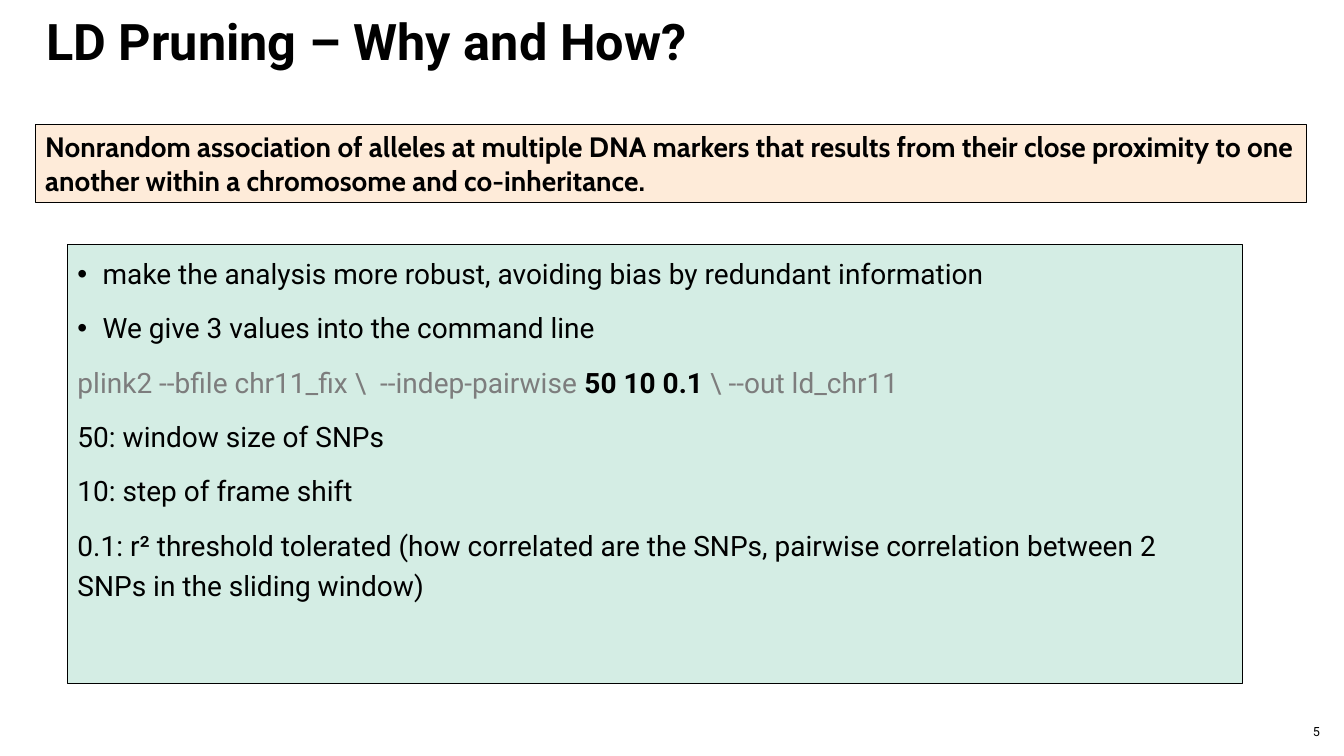
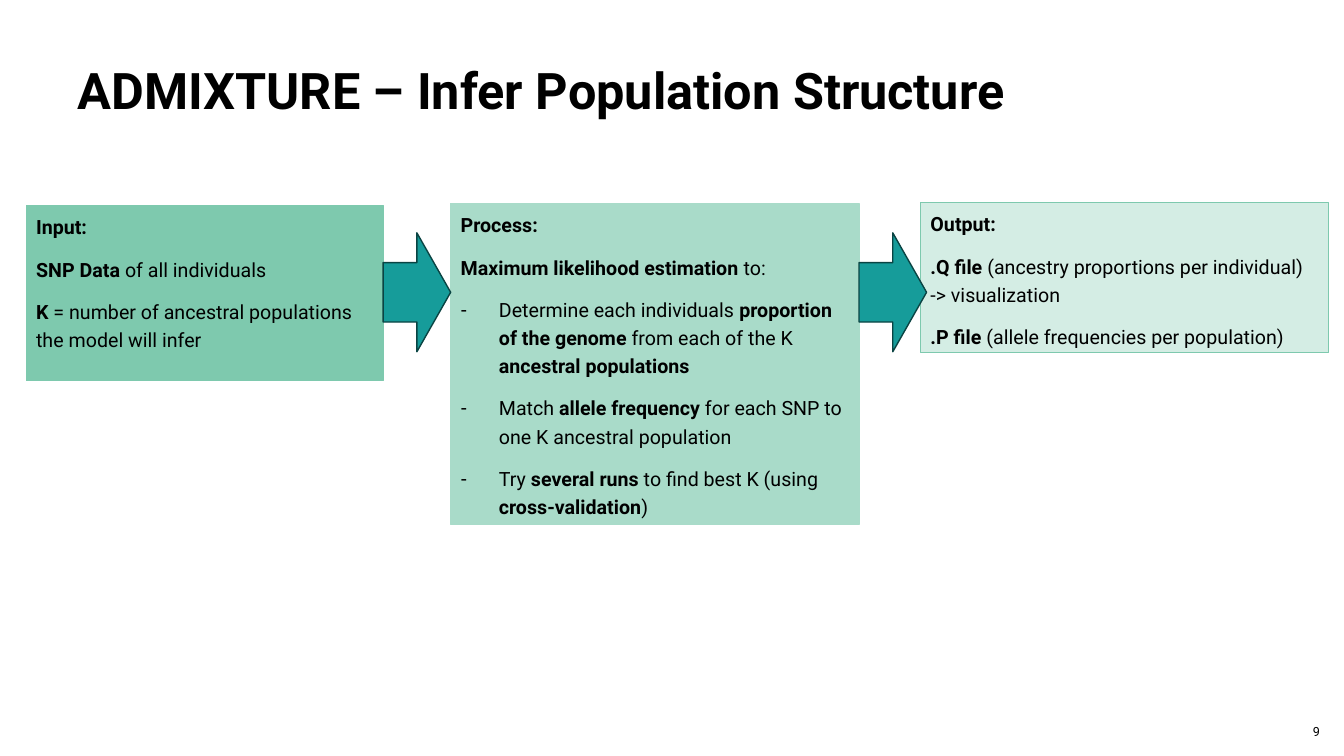
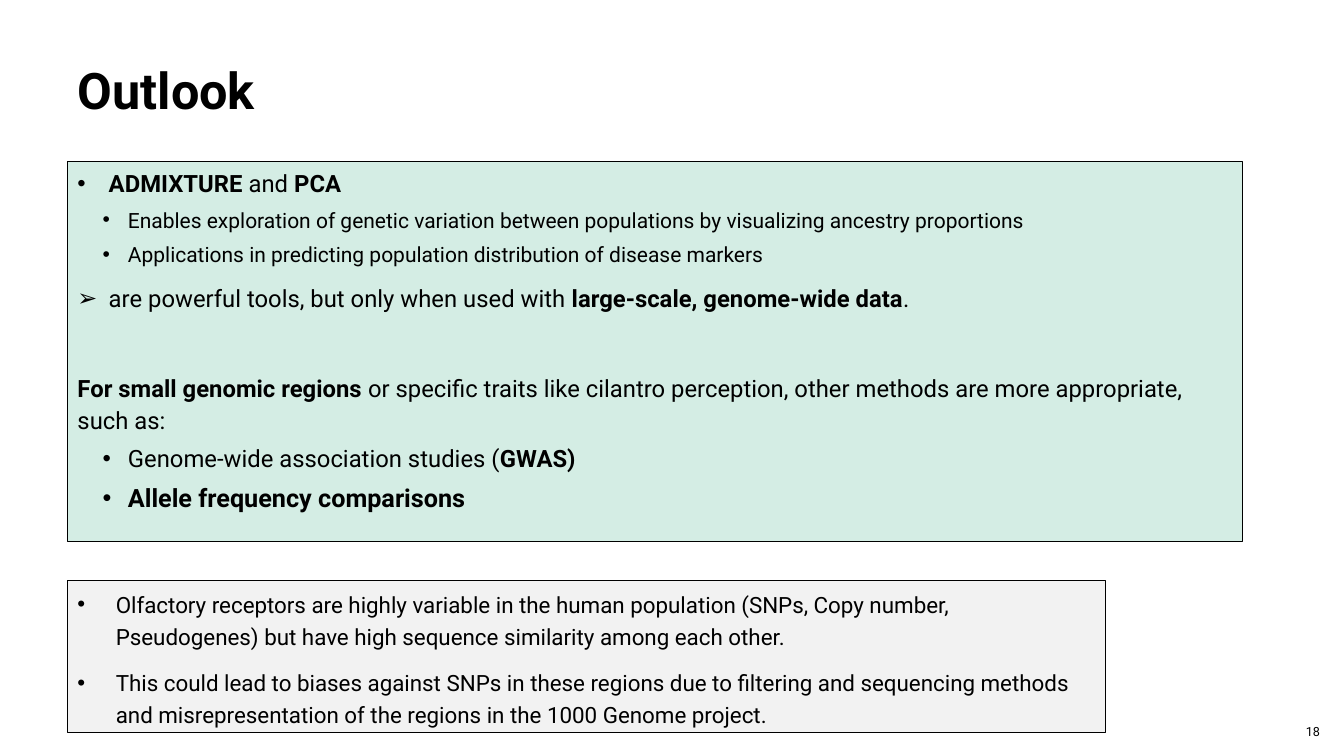
from lxml import etree
from pptx import Presentation
from pptx.dml.color import RGBColor
from pptx.enum import shapes, text
from pptx.oxml.ns import qn
from pptx.util import Inches, Pt

BLACK = RGBColor(0x00, 0x00, 0x00)
GREY = RGBColor(0x7D, 0x7D, 0x7D)
PEACH = RGBColor(0xFE, 0xEB, 0xD9)
PALE_GREY = RGBColor(0xF2, 0xF2, 0xF2)
MINT_LIGHT = RGBColor(0xD4, 0xED, 0xE4)
MINT_MID = RGBColor(0xA9, 0xDB, 0xC9)
MINT = RGBColor(0x7E, 0xC9, 0xAE)
TEAL = RGBColor(0x16, 0x9C, 0x9A)
TEAL_DARK = RGBColor(0x0A, 0x44, 0x43)
FONT = "Roboto"
LEFT, WIDTH = 0.67, 11.65


def add_run(p, content, size, bold=False, color=BLACK, font=FONT):
    r = p.add_run()
    r.text = content
    r.font.name = font
    r.font.size = Pt(size)
    r.font.bold = bold
    r.font.color.rgb = color


def add_bullet(p, char, indent, hang):
    pPr = p._p.get_or_add_pPr()
    pPr.set("marL", str(Inches(indent)))
    pPr.set("indent", str(-Inches(hang)))
    etree.SubElement(pPr, qn("a:buFont")).set("typeface", "Arial")
    etree.SubElement(pPr, qn("a:buChar")).set("char", char)


def para(*runs, **options):
    return runs, options


def bold(content):
    return content, True


def fill_text(tf, paras, size, spacing=1.2, font=FONT):
    tf.word_wrap = True
    tf.auto_size = text.MSO_AUTO_SIZE.NONE
    tf.vertical_anchor = text.MSO_ANCHOR.TOP
    for i, (runs, options) in enumerate(paras):
        p = tf.paragraphs[0] if i == 0 else tf.add_paragraph()
        if "bullet" in options:
            add_bullet(p, *options["bullet"])
        p.alignment = text.PP_ALIGN.LEFT
        p.line_spacing = spacing
        p.space_before = Pt(options.get("before", 10) if i else 0)
        for run in runs:
            parts = (run,) if isinstance(run, str) else run
            add_run(p, parts[0], options.get("size", size), *parts[1:], font=font)


def add_preset(s, kind, at, fill, line, line_width=0.75):
    sp = s.shapes.add_shape(kind, *map(Inches, at))
    sp.shadow.inherit = False
    sp.fill.solid()
    sp.fill.fore_color.rgb = fill
    sp.line.color.rgb = line
    sp.line.width = Pt(line_width)
    return sp


def add_box(s, at, fill, line, paras, size, **style):
    sp = add_preset(s, shapes.MSO_SHAPE.RECTANGLE, at, fill, line)
    fill_text(sp.text_frame, paras, size, **style)


def add_arrow(s, left):
    add_preset(s, shapes.MSO_SHAPE.RIGHT_ARROW, (left, 2.31, 0.67, 1.18),
               TEAL, TEAL_DARK, 1)


def add_slide(prs, title, number, left=LEFT, top=0.6):
    s = prs.slides.add_slide(prs.slide_layouts[5])
    sp = s.shapes.title
    sp.left, sp.top, sp.width, sp.height = map(Inches, (left, top, WIDTH, 1.24))
    fill_text(sp.text_frame, [para(bold(title))], 36, spacing=0.9)
    tf = s.shapes.add_textbox(*map(Inches, (12.72, 7.06, 0.47, 0.4))).text_frame
    fill_text(tf, [para(number)], 9, spacing=1.0)
    tf.vertical_anchor = text.MSO_ANCHOR.MIDDLE
    tf.paragraphs[0].alignment = text.PP_ALIGN.RIGHT
    return s


def build_pruning(prs):
    s = add_slide(prs, "LD Pruning – Why and How?", "5", left=0.36, top=0.12)
    dot = ("•", 0.25, 0.25)
    add_box(s, (LEFT, 2.43, WIDTH, 4.35), MINT_LIGHT, BLACK, [
        para("make the analysis more robust, avoiding bias by redundant information", bullet=dot),
        para("We give 3 values into the command line", bullet=dot),
        para(("plink2 --bfile chr11_fix \\  --indep-pairwise ", False, GREY),
             bold("50 10 0.1 "), ("\\ --out ld_chr11", False, GREY)),
        para("50: window size of SNPs"),
        para("10: step of frame shift"),
        para("0.1: r² threshold tolerated (how correlated are the SNPs, "
             "pairwise correlation between 2 SNPs in the sliding window)"),
    ], 20)
    add_box(s, (0.35, 1.24, 12.61, 0.77), PEACH, BLACK, [
        para(bold("Nonrandom association of alleles at multiple DNA markers that results from "
                  "their close proximity to one another within a chromosome and co-inheritance.")),
    ], 20, spacing=1.0, font="Cabin")


def build_admixture(prs):
    s = add_slide(prs, "ADMIXTURE – Infer Population Structure", "9")
    dash = ("-", 0.38, 0.38)
    add_box(s, (0.26, 2.04, 3.54, 1.74), MINT, MINT, [
        para(bold("Input:")),
        para(bold("SNP Data "), "of all individuals"),
        para(bold("K"), " = number of ancestral populations the model will infer"),
    ], 14)
    add_box(s, (4.47, 2.02, 4.05, 3.18), MINT_MID, MINT_MID, [
        para(bold("Process:")),
        para(bold("Maximum likelihood estimation "), "to:"),
        para("Determine each individuals ", bold("proportion of the genome"),
             " from each of the K ", bold("ancestral populations"), bullet=dash),
        para("Match ", bold("allele frequency"),
             " for each SNP to one K ancestral population", bullet=dash),
        para("Try ", bold("several runs"), " to find best K (using ",
             bold("cross-validation"), ")", bullet=dash),
    ], 14)
    add_box(s, (9.13, 2.01, 4.05, 1.49), MINT_LIGHT, MINT, [
        para(bold("Output:")),
        para(bold(".Q file"), " (ancestry proportions per individual) -> visualization"),
        para(bold(".P file"), " (allele frequencies per population)"),
    ], 14)
    for left in (3.8, 8.52):
        add_arrow(s, left)


def build_outlook(prs):
    s = add_slide(prs, "Outlook", "18")
    sub = {"bullet": ("•", 0.5, 0.25), "before": 5}
    add_box(s, (LEFT, 1.6, WIDTH, 3.77), MINT_LIGHT, BLACK, [
        para(bold("ADMIXTURE "), "and ", bold("PCA"), bullet=("•", 0.31, 0.31)),
        para("Enables exploration of genetic variation between populations "
             "by visualizing ancestry proportions", size=15, **sub),
        para("Applications in predicting population distribution of disease markers",
             size=15, **sub),
        para("are powerful tools, but only when used with ",
             bold("large-scale, genome-wide data"), ".", bullet=("➢", 0.31, 0.31)),
        para(bold("For small genomic regions "), "or specific traits like cilantro perception, "
             "other methods are more appropriate, such as:", before=42),
        para("Genome-wide association studies (", bold("GWAS)"), **sub),
        para(bold("Allele frequency comparisons"), size=18, **sub),
    ], 17, spacing=1.1)
    dot = ("•", 0.38, 0.38)
    add_box(s, (LEFT, 5.76, 10.29, 1.51), PALE_GREY, BLACK, [
        para("Olfactory receptors are highly variable in the human population (SNPs, Copy number, "
             "Pseudogenes) but have high sequence similarity among each other.", bullet=dot),
        para("This could lead to biases against SNPs in these regions due to filtering and "
             "sequencing methods and misrepresentation of the regions in the 1000 Genome project.",
             bullet=dot),
    ], 16)


def main():
    prs = Presentation()
    prs.slide_width, prs.slide_height = Inches(13.33), Inches(7.5)
    build_pruning(prs)
    build_admixture(prs)
    build_outlook(prs)
    prs.save("out.pptx")


if __name__ == "__main__":
    main()
